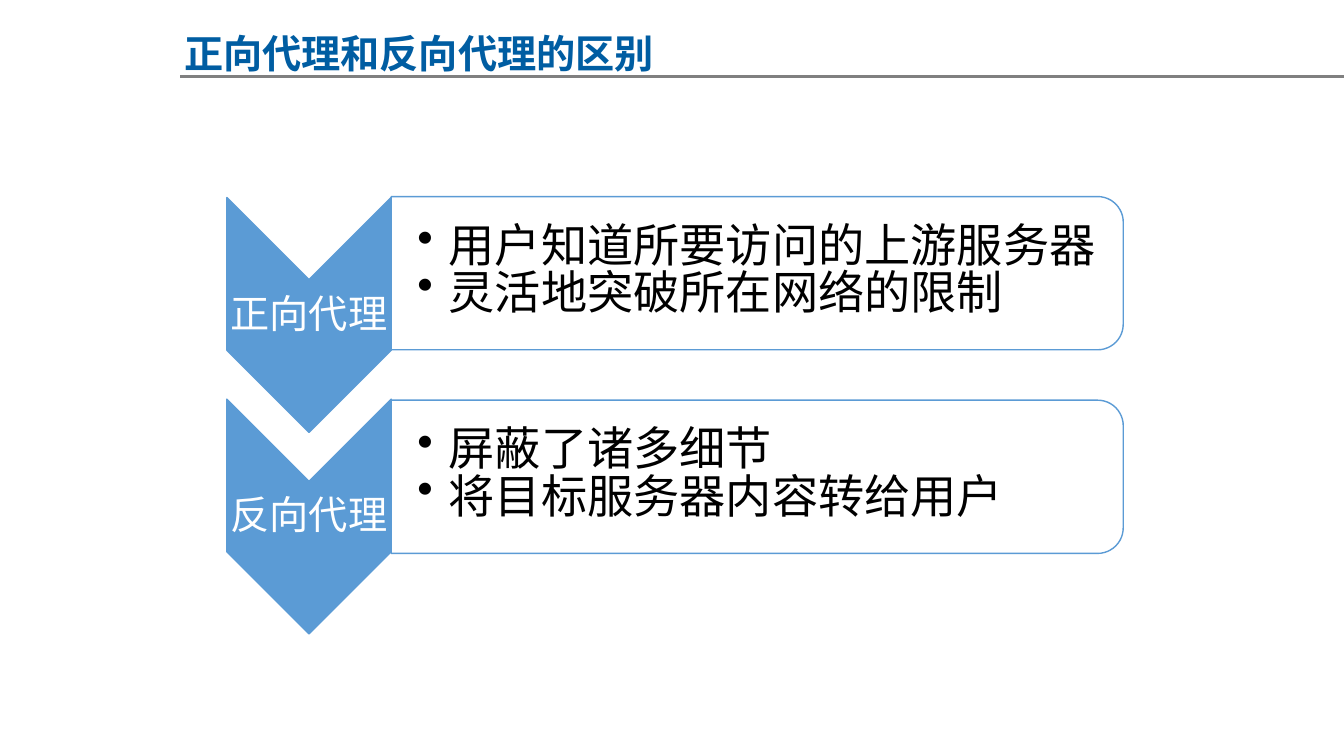
from dataclasses import dataclass

import pptx
import pptx.util
import pptx.dml.color
import pptx.enum.shapes
import pptx.enum.text
import pptx.oxml.ns
from lxml import etree
from pptx.util import Inches, Pt
from pptx.dml.color import RGBColor

FONT = "Noto Sans CJK SC"
TITLE_BLUE = RGBColor(0x00, 0x5D, 0xA2)
BLUE = RGBColor(0x5B, 0x9B, 0xD5)
GRAY = RGBColor(0x80, 0x80, 0x80)
WHITE = RGBColor(0xFF, 0xFF, 0xFF)
BLACK = RGBColor(0, 0, 0)
SHAPE = pptx.enum.shapes.MSO_SHAPE
ALIGN = pptx.enum.text.PP_ALIGN
ANCHOR = pptx.enum.text.MSO_ANCHOR
qn = pptx.oxml.ns.qn


@dataclass
class Box:
    left: float
    top: float
    width: float
    height: float

    def lengths(self) -> list[int]:
        return [Inches(v) for v in (self.left, self.top, self.width, self.height)]


@dataclass
class TextStyle:
    size: float
    color: RGBColor
    align: ALIGN = ALIGN.CENTER
    anchor: ANCHOR = ANCHOR.MIDDLE
    bold: bool = False
    insets: tuple[float, float, float, float] = (0.02, 0.02, 0.02, 0.02)
    line_spacing: float = 0.9
    space_after: float = 0
    bullet: bool = False


@dataclass
class Proxy:
    name: str
    traits: list[str]


TITLE = TextStyle(28, TITLE_BLUE, anchor=ANCHOR.TOP, bold=True,
                  insets=(0.1, 0.05, 0.1, 0.05), line_spacing=1)
LABEL = TextStyle(28, WHITE)
TRAIT = TextStyle(33, BLACK, ALIGN.LEFT, insets=(0.26, 0.02, 0.02, 0.02),
                  line_spacing=0.8, space_after=2, bullet=True)
PROXIES = [
    Proxy("正向代理", ["用户知道所要访问的上游服务器", "灵活地突破所在网络的限制"]),
    Proxy("反向代理", ["屏蔽了诸多细节", "将目标服务器内容转给用户"]),
]


def add_text(s: pptx.slide.Slide, box: Box, lines: list[str], style: TextStyle) -> None:
    tf = s.shapes.add_textbox(*box.lengths()).text_frame
    tf.word_wrap = True
    tf.vertical_anchor = style.anchor
    tf.margin_left, tf.margin_top, tf.margin_right, tf.margin_bottom = map(Inches, style.insets)
    for i, line in enumerate(lines):
        p = tf.add_paragraph() if i else tf.paragraphs[0]
        p.alignment = style.align
        p.line_spacing = style.line_spacing
        p.space_after = Pt(style.space_after)
        if style.bullet:
            p.level = 1
            pPr = p._p.get_or_add_pPr()
            pPr.set("marL", str(Inches(0.31)))
            pPr.set("indent", str(Inches(-0.31)))
            etree.SubElement(pPr, qn("a:buChar")).set("char", "•")
        r = p.add_run()
        r.text = line
        r.font.name = FONT
        r.font.size = Pt(style.size)
        r.font.bold = style.bold
        r.font.color.rgb = style.color
        etree.SubElement(r._r.get_or_add_rPr(), qn("a:ea")).set("typeface", FONT)


def add_turned_shape(s: pptx.slide.Slide, kind: SHAPE, box: Box, fill: RGBColor,
                     opacity: int = 100) -> None:
    sp = s.shapes.add_shape(kind, *box.lengths())
    sp.rotation = 90
    sp.shadow.inherit = False
    sp.fill.solid()
    sp.fill.fore_color.rgb = fill
    if opacity < 100:
        color = sp._element.spPr.find(qn("a:solidFill")).find(qn("a:srgbClr"))
        etree.SubElement(color, qn("a:alpha")).set("val", str(opacity * 1000))
    sp.line.color.rgb = BLUE
    sp.line.width = Pt(1)


def add_proxy(s: pptx.slide.Slide, proxy: Proxy, row: int) -> None:
    chevron_dy, panel_dy = row * 2, row * 2.02
    add_turned_shape(s, SHAPE.CHEVRON, Box(1.9, 2.31 + chevron_dy, 2.33, 1.63), BLUE)
    add_text(s, Box(2.25, 2.78 + chevron_dy, 1.63, 0.7), [proxy.name], LABEL)
    add_turned_shape(s, SHAPE.ROUND_2_SAME_RECTANGLE,
                     Box(6.75, -0.92 + panel_dy, 1.52, 7.26), WHITE, 90)
    add_text(s, Box(3.88, 2.02 + panel_dy, 7.18, 1.37), proxy.traits, TRAIT)


def main() -> None:
    prs = pptx.Presentation()
    prs.slide_width, prs.slide_height = Inches(13.33), Inches(7.5)
    s = prs.slides.add_slide(prs.slide_layouts[6])
    rule = s.shapes.add_connector(pptx.enum.shapes.MSO_CONNECTOR.STRAIGHT,
                                  Inches(1.79), Inches(0.76), Inches(13.33), Inches(0.76))
    rule.line.color.rgb = GRAY
    rule.line.width = Pt(2)
    etree.SubElement(rule._element.spPr, qn("a:effectLst"))
    add_text(s, Box(1.71, 0.24, 4.89, 0.57), ["正向代理和反向代理的区别"], TITLE)
    for row, proxy in enumerate(PROXIES):
        add_proxy(s, proxy, row)
    prs.save("out.pptx")


if __name__ == "__main__":
    main()
